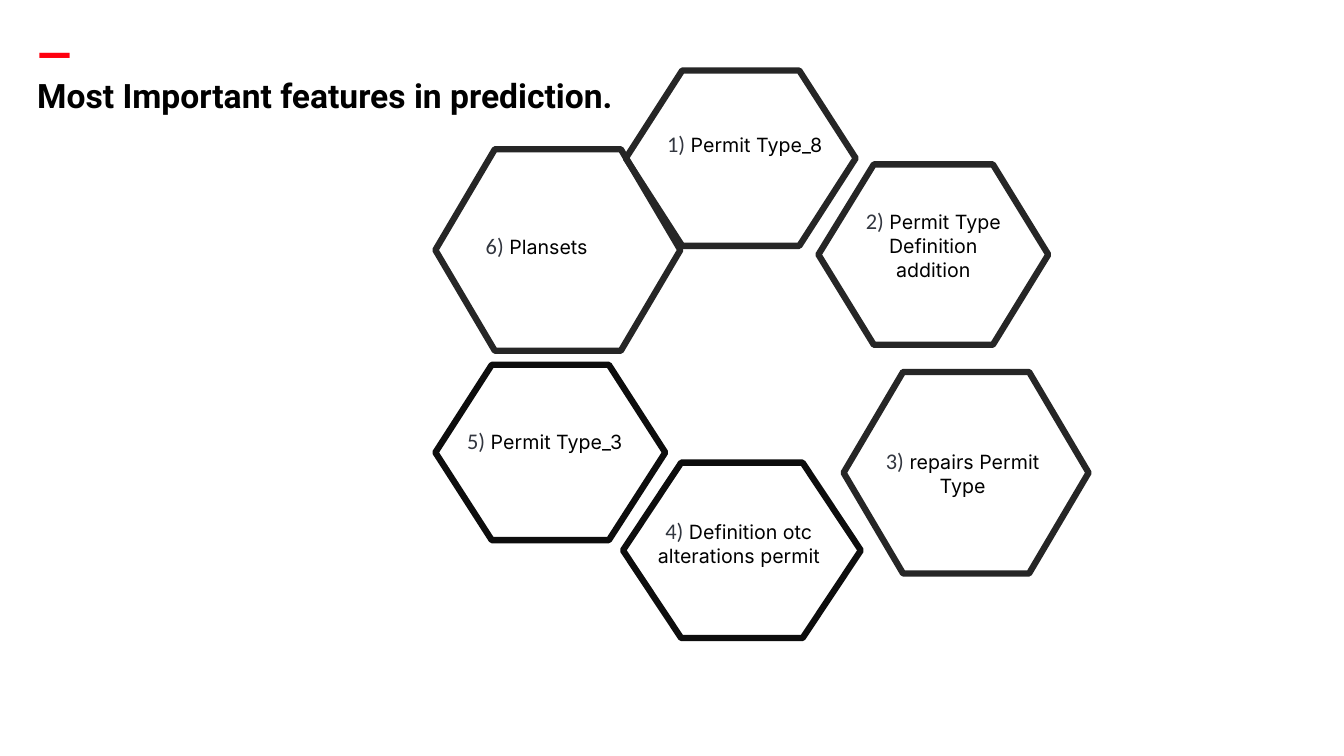
import dataclasses

import pptx
import pptx.dml.color
import pptx.enum.shapes
import pptx.enum.text
import pptx.util
from lxml import etree

Pt = pptx.util.Pt
Color = pptx.dml.color.RGBColor.from_string
Anchor = pptx.enum.text.MSO_ANCHOR
Align = pptx.enum.text.PP_ALIGN


@dataclasses.dataclass(frozen=True)
class Theme:
    """Colours, fonts and type sizes of the slide."""

    accent: str = "FF000F"
    text: str = "000000"
    number: str = "32363F"
    outline: str = "262626"
    dark_outline: str = "0D0D0D"
    title_font: str = "Roboto"
    number_font: str = "Calibri"
    label_font: str = "Inter"
    dash_size: int = 32
    title_size: int = 24
    number_size: int = 16
    label_size: int = 14
    outline_width: float = 4.5


THEME = Theme()

FEATURES = [
    ("Permit Type_8", (447, 50.4, 164.2, 125.3), 40.3, (13, 38.9, 144), THEME.outline),
    ("Permit Type Definition addition", (584.6, 117.4, 164.2, 128.9), 39.6, (18, 27.3, 128.2), THEME.outline),
    ("repairs Permit Type", (602.6, 265.7, 175, 144), 42.5, (13.7, 50.4, 142.6), THEME.outline),
    ("Definition otc alterations permit", (445, 330.5, 169.9, 125.3), 41.6, (7.9, 35.3, 149.8), THEME.dark_outline),
    ("Permit Type_3", (311, 260.6, 164.2, 125.3), 40.3, (6.5, 41.1, 143.3), THEME.dark_outline),
    ("Plansets", (311, 106.6, 175, 144), 42.5, (8.7, 55.4, 127.4), THEME.outline),
]


def set_font(font, name, size, color, bold=False):
    """Apply one type style to a font."""
    font.name = name
    font.size = Pt(size)
    font.bold = bold
    font.color.rgb = Color(color)


def add_heading(slide, left, top, width):
    """Place the accent dash and the title below it."""
    dash = slide.shapes.add_textbox(Pt(left - 7.2), Pt(top), Pt(32.4), Pt(12.2))
    dash.text_frame.word_wrap = True
    dash.text_frame.vertical_anchor = Anchor.MIDDLE
    dash.text_frame.text = "—"
    set_font(dash.text_frame.paragraphs[0].font, THEME.title_font, THEME.dash_size, THEME.accent, True)

    title = slide.shapes.title
    title.left, title.top, title.width, title.height = Pt(left), Pt(top + 20.9), Pt(width), Pt(28)
    frame = title.text_frame
    frame.text = "Most Important features in prediction."
    frame.margin_left = frame.margin_top = frame.margin_right = frame.margin_bottom = 0
    frame.vertical_anchor = Anchor.TOP
    frame.auto_size = pptx.enum.text.MSO_AUTO_SIZE.NONE
    paragraph = frame.paragraphs[0]
    paragraph.alignment = Align.LEFT
    set_font(paragraph.font, THEME.title_font, THEME.title_size, THEME.text, True)


def add_feature(slide, number, name, box, corner, label_place, outline):
    """Draw one hexagon in its box with a numbered label inside."""
    left, top, width, height = box
    hexagon = slide.shapes.add_shape(
        pptx.enum.shapes.MSO_SHAPE.HEXAGON, Pt(left), Pt(top), Pt(width), Pt(height)
    )
    hexagon.adjustments[0] = corner / height
    hexagon.shadow.inherit = False
    hexagon.fill.background()
    hexagon.line.color.rgb = Color(outline)
    hexagon.line.width = Pt(THEME.outline_width)
    etree.SubElement(hexagon.line._get_or_add_ln(), pptx.oxml.ns.qn("a:round"))

    offset_x, offset_y, label_width = label_place
    label = slide.shapes.add_textbox(Pt(left + offset_x), Pt(top + offset_y), Pt(label_width), Pt(44))
    label.text_frame.word_wrap = True
    paragraph = label.text_frame.paragraphs[0]
    paragraph.alignment = Align.CENTER
    for text, font, size, color in (
        (f"{number})", THEME.number_font, THEME.number_size, THEME.number),
        (f" {name}", THEME.label_font, THEME.label_size, THEME.text),
    ):
        run = paragraph.add_run()
        run.text = text
        set_font(run.font, font, size, color)


def main():
    """Build the feature slide and save it."""
    presentation = pptx.Presentation()
    presentation.slide_width, presentation.slide_height = Pt(960), Pt(540)
    slide = presentation.slides.add_slide(presentation.slide_layouts[5])
    add_heading(slide, 26.6, 32.4, 907)
    for number, feature in enumerate(FEATURES, start=1):
        add_feature(slide, number, *feature)
    presentation.save("out.pptx")


if __name__ == "__main__":
    main()
